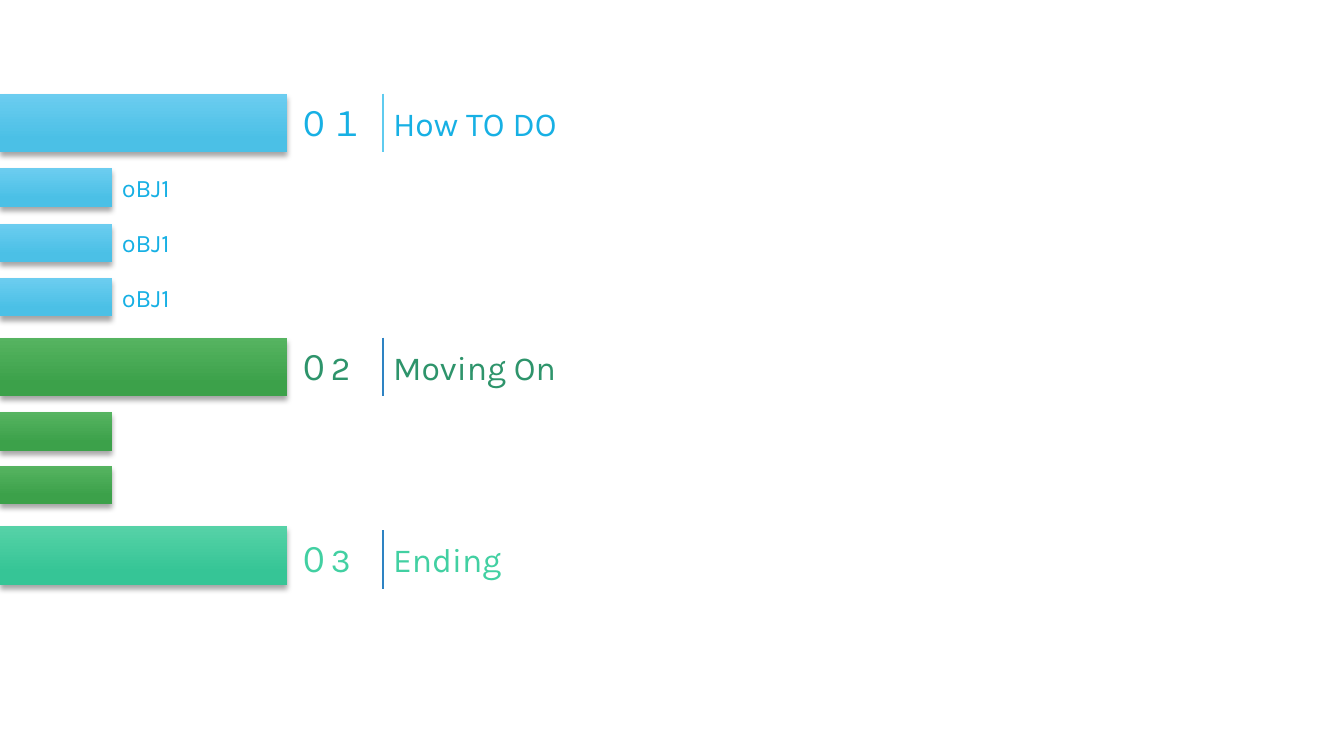
import pptx
import pptx.util
import pptx.dml.color
import pptx.enum.shapes
import pptx.enum.text
import pptx.oxml
import pptx.oxml.ns
from lxml import etree

Inches = pptx.util.Inches
color = pptx.dml.color.RGBColor.from_string

presentation = pptx.Presentation()
presentation.slide_width = Inches(13.33)
presentation.slide_height = Inches(7.5)
slide = presentation.slides.add_slide(presentation.slide_layouts[6])

SHADOW = (
    f'<a:outerShdw {pptx.oxml.ns.nsdecls("a")} blurRad="50800" dist="38100" '
    'dir="5400000" algn="t" rotWithShape="0"><a:srgbClr val="000000">'
    '<a:alpha val="35000"/></a:srgbClr></a:outerShdw>'
)


def add_bar(top, width, height, gradient):
    bar = slide.shapes.add_shape(
        pptx.enum.shapes.MSO_SHAPE.RECTANGLE, 0, Inches(top), Inches(width), Inches(height)
    )
    bar.line.fill.background()
    bar.fill.gradient()
    bar.fill.gradient_angle = 270
    for stop, position, shade in zip(bar.fill.gradient_stops, (0, 0.78), gradient):
        stop.position = position
        stop.color.rgb = color(shade)
    bar.shadow.inherit = False
    effects = bar._element.spPr.find(pptx.oxml.ns.qn("a:effectLst"))
    effects.append(pptx.oxml.parse_xml(SHADOW))


def add_label(text, left, top, height, size, shade):
    label = slide.shapes.add_textbox(Inches(left), Inches(top), Inches(2.45), Inches(height))
    text_frame = label.text_frame
    text_frame.text = text
    text_frame.word_wrap = True
    text_frame.auto_size = pptx.enum.text.MSO_AUTO_SIZE.SHAPE_TO_FIT_TEXT
    font = text_frame.paragraphs[0].runs[0].font
    font.name = "Karla"
    font.size = pptx.util.Pt(size)
    font.color.rgb = color(shade)


sections = [
    ("０１", "How TO DO", 0.93, 0.93, ("6CCDF0", "4BC0E6"), "17B0E4", "5FCBEF",
     [(1.67, "oBJ1"), (2.22, "oBJ1"), (2.76, "oBJ1")]),
    ("０2", "Moving On", 3.35, 3.35, ("56B461", "3CA14A"), "2E946B", "2E83C3",
     [(4.09, None), (4.62, None)]),
    ("０3", "Ending", 5.22, 5.26, ("56D2A7", "36C596"), "42D0A2", "2E83C3", []),
]

for number, heading, bar_top, divider_top, gradient, text_color, divider_color, items in sections:
    add_bar(bar_top, 2.85, 0.58, gradient)
    divider = slide.shapes.add_connector(
        pptx.enum.shapes.MSO_CONNECTOR.STRAIGHT,
        Inches(3.8), Inches(divider_top), Inches(3.8), Inches(divider_top + 0.58),
    )
    divider.line.color.rgb = color(divider_color)
    divider.line.width = pptx.util.Pt(1)
    etree.SubElement(divider._element.spPr, pptx.oxml.ns.qn("a:effectLst"))
    add_label(heading, 3.8, divider_top + 0.04, 0.5, 24, text_color)
    add_label(number, 2.85, divider_top + 0.04, 0.5, 24, text_color)
    for item_top, item in items:
        add_bar(item_top, 1.11, 0.38, gradient)
        if item:
            add_label(item, 1.11, item_top - 0.01, 0.4, 18, text_color)

presentation.save("out.pptx")
